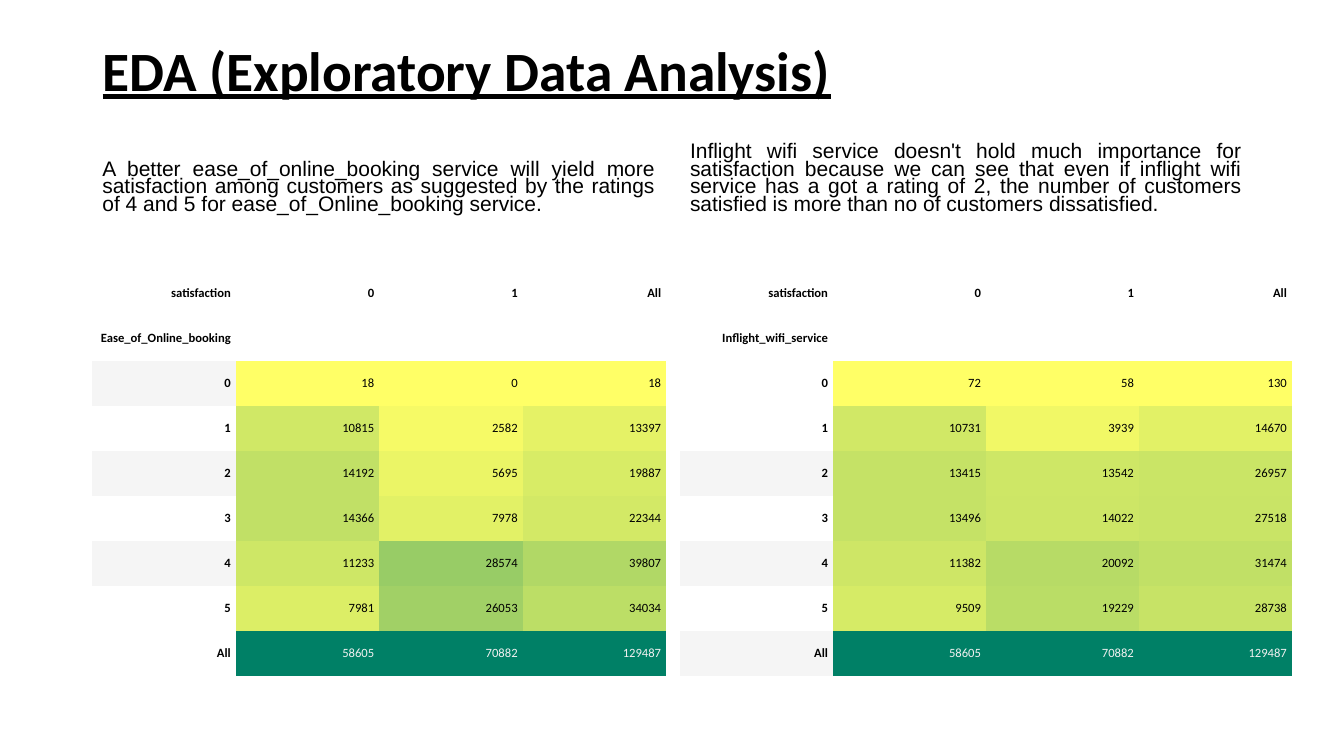
from dataclasses import dataclass

from pptx import Presentation
from pptx import util as u
from pptx.dml.color import RGBColor
from pptx.enum import text
from pptx.oxml.ns import qn


@dataclass(frozen=True)
class Theme:
    ink: str = "000000"
    pale: str = "F1F1F1"
    white: str = "FFFFFF"
    stripe: str = "F5F5F5"
    head: str = "Calibri"
    body: str = "Arial"
    title: float = 39.6
    note: float = 15
    cell: float = 9
    plain: str = "{2D5ABB26-0587-4C30-8999-92F81FD0307C}"


def shade(value, low, high):
    """Return a colour from yellow (low) to green (high)."""
    part = (value - low) / (high - low)
    return f"{round(255 * (1 - part)):02X}{round(255 - 127 * part):02X}66"


class Deck:
    def __init__(self, theme):
        self.theme = theme
        self.show = Presentation()
        self.show.slide_width = u.Cm(33.87)
        self.show.slide_height = u.Cm(19.05)
        self.slide = self.show.slides.add_slide(self.show.slide_layouts[6])

    def style(self, para, name, size, color=None, bold=False):
        font = para.font
        font.name, font.size, font.bold = name, u.Pt(size), bold
        font.color.rgb = RGBColor.from_string(color or self.theme.ink)

    def box(self, words, place, anchor, spacing):
        """Add a text box and return its paragraph."""
        shape = self.slide.shapes.add_textbox(*map(u.Cm, place))
        frame = shape.text_frame
        frame.word_wrap = True
        frame.vertical_anchor = anchor
        para = frame.paragraphs[0]
        para.text, para.line_spacing = words, spacing
        return para

    def title(self, words, place):
        para = self.box(words, place, text.MSO_ANCHOR.MIDDLE, 0.9)
        self.style(para, self.theme.head, self.theme.title, bold=True)
        para.font.underline = True

    def note(self, words, place):
        para = self.box(words, place, text.MSO_ANCHOR.BOTTOM, 0.7)
        para.alignment = text.PP_ALIGN.JUSTIFY
        self.style(para, self.theme.body, self.theme.note)

    def cell(self, cell, words, fill, color, bold):
        cell.fill.solid()
        cell.fill.fore_color.rgb = RGBColor.from_string(fill)
        cell.vertical_anchor = text.MSO_ANCHOR.MIDDLE
        cell.margin_left = cell.margin_right = u.Cm(0.13)
        cell.margin_top = cell.margin_bottom = u.Cm(0.05)
        para = cell.text_frame.paragraphs[0]
        para.text = words
        para.alignment = text.PP_ALIGN.RIGHT
        self.style(para, self.theme.head, self.theme.cell, color, bold)

    def heat(self, name, counts, striped, place):
        """Add a cross table whose counts are shaded column by column."""
        look = self.theme
        rows = [["satisfaction", "0", "1", "All"], [name, "", "", ""]]
        labels = [*map(str, range(len(counts) - 1)), "All"]
        rows += [[label, *line] for label, line in zip(labels, counts)]
        frame = self.slide.shapes.add_table(
            len(rows), len(rows[0]), *map(u.Cm, place))
        table = frame.table
        table.first_row = table.horz_banding = False
        frame._element.find(".//" + qn("a:tableStyleId")).text = look.plain
        spans = [(min(col), max(col)) for col in zip(*counts)]
        for r, row in enumerate(rows):
            for c, value in enumerate(row):
                fill, color = look.white, look.ink
                count = r > 1 and c > 0
                if count:
                    fill = shade(value, *spans[c - 1])
                    if row[0] == "All":
                        color = look.pale
                elif r > 1 and row[0] in striped:
                    fill = look.stripe
                self.cell(table.cell(r, c), str(value), fill, color, not count)


BOOKING = [(18, 0, 18), (10815, 2582, 13397), (14192, 5695, 19887),
           (14366, 7978, 22344), (11233, 28574, 39807),
           (7981, 26053, 34034), (58605, 70882, 129487)]
WIFI = [(72, 58, 130), (10731, 3939, 14670), (13415, 13542, 26957),
        (13496, 14022, 27518), (11382, 20092, 31474),
        (9509, 19229, 28738), (58605, 70882, 129487)]


def main():
    deck = Deck(Theme())
    left, right = 2.33, 17.14
    note_top, note_high = 3.25, 2.29
    heat_top, heat_high = 6.83, 10.2
    deck.title("EDA (Exploratory Data Analysis)", (2.34, 1.02, 29.2, 1.65))
    deck.note("A better ease_of_online_booking service will yield more "
              "satisfaction among customers as suggested by the ratings of 4 "
              "and 5 for ease_of_Online_booking service.",
              (left, note_top, 14.43, note_high))
    deck.heat("Ease_of_Online_booking", BOOKING, {"0", "2", "4"},
              (left, heat_top, 14.46, heat_high))
    deck.note("Inflight wifi service doesn't hold much importance for "
              "satisfaction because we can see that even if inflight wifi "
              "service has a got a rating of 2, the number of customers "
              "satisfied is more than no of customers dissatisfied.",
              (right, note_top, 14.4, note_high))
    deck.heat("Inflight_wifi_service", WIFI, {"2", "4", "All"},
              (right, heat_top, 15.42, heat_high))
    deck.show.save("out.pptx")


if __name__ == "__main__":
    main()
